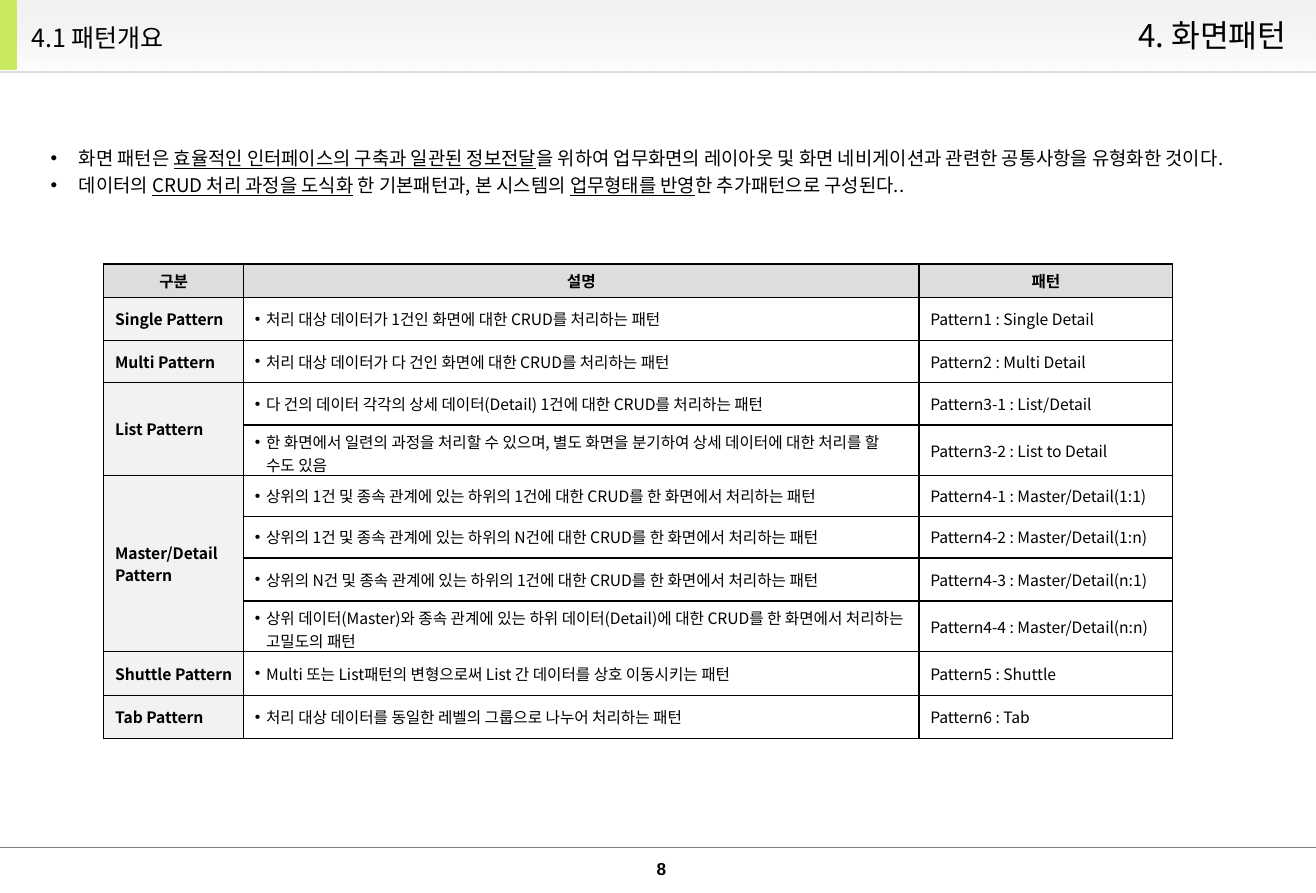
from lxml.etree import SubElement
from pptx import Presentation
from pptx.dml.color import RGBColor
from pptx.enum.shapes import MSO_CONNECTOR, MSO_SHAPE
from pptx.enum.text import MSO_ANCHOR as ANCHOR, PP_ALIGN as ALIGN
from pptx.oxml.ns import qn
from pptx.util import Inches, Pt

BLACK = RGBColor(0x00, 0x00, 0x00)
WHITE = RGBColor(0xFF, 0xFF, 0xFF)
GRAY = RGBColor(0x80, 0x80, 0x80)
SILVER = RGBColor(0xDD, 0xDD, 0xDD)
PALE = RGBColor(0xF2, 0xF2, 0xF2)
MIST = RGBColor(0xEA, 0xEA, 0xEA)
LIME = RGBColor(0xC9, 0xE9, 0x61)
KOREAN = "Noto Sans CJK KR"


def write(tf, *texts, size=10, font=KOREAN, bold=False, align=ALIGN.LEFT,
          indent=0, before=0, spacing=None):
    for i, text in enumerate(texts):
        p = tf.paragraphs[0] if i == 0 else tf.add_paragraph()
        p.alignment = align
        p.space_before = Pt(before)
        if spacing:
            p.line_spacing = spacing
        if indent:
            pPr = p._p.get_or_add_pPr()
            pPr.set("marL", str(Inches(indent)))
            pPr.set("indent", str(-Inches(indent)))
            SubElement(pPr, qn("a:buFont")).set("typeface", "Arial")
            SubElement(pPr, qn("a:buChar")).set("char", "•")
        for j, line in enumerate(text.split("\n")):
            if j:
                p.add_line_break()
            for k, part in enumerate(line.split("_")):
                r = p.add_run()
                r.text = part
                r.font.size = Pt(size)
                r.font.bold = bold
                r.font.underline = k % 2 == 1
                r.font.color.rgb = BLACK
                r.font.name = font
                SubElement(r._r.get_or_add_rPr(), qn("a:ea")).set("typeface", font)


def add_text(box, *texts, inset=(0.11, 0.05), anchor=ANCHOR.MIDDLE, wrap=True, **fmt):
    tf = slide.shapes.add_textbox(*map(Inches, box)).text_frame
    tf.word_wrap = wrap
    tf.vertical_anchor = anchor
    tf.margin_left = tf.margin_right = Inches(inset[0])
    tf.margin_top = tf.margin_bottom = Inches(inset[1])
    write(tf, *texts, **fmt)


prs = Presentation()
prs.slide_width, prs.slide_height = Inches(11.67), Inches(7.92)
slide = prs.slides.add_slide(prs.slide_layouts[6])

add_text((5.77, 7.63, 0.19, 0.17), "8", inset=(0, 0), anchor=ANCHOR.TOP, wrap=False,
         size=11, font="Arial", bold=True, align=ALIGN.CENTER, spacing=0.9)

bars = []
for width, height in [(11.67, 0.66), (0.15, 0.62)]:
    sp = slide.shapes.add_shape(MSO_SHAPE.RECTANGLE, 0, 0, Inches(width), Inches(height))
    sp.shadow.inherit = False
    sp.line.fill.background()
    bars.append(sp)
header, accent = bars
header.fill.gradient()
header.fill.gradient_angle = 270
for stop, color in zip(header.fill.gradient_stops, (MIST, WHITE)):
    stop.color.rgb = color
mist = header._element.spPr.find(".//" + qn("a:srgbClr"))
SubElement(mist, qn("a:alpha")).set("val", "56000")
accent.fill.solid()
accent.fill.fore_color.rgb = LIME

for y, color, weight in [(7.52, GRAY, 0.75), (0.64, SILVER, 1.5)]:
    rule = slide.shapes.add_connector(MSO_CONNECTOR.STRAIGHT, 0, Inches(y),
                                      prs.slide_width, Inches(y))
    rule.line.color.rgb = color
    rule.line.width = Pt(weight)
    SubElement(rule._element.spPr, qn("a:effectLst"))
slide.shapes._spTree.append(accent._element)

add_text((0.17, 0.11, 3.21, 0.45), "4.1 패턴개요", size=16)
add_text((5.84, 0, 5.68, 0.62), "4. 화면패턴", size=20, align=ALIGN.RIGHT)
add_text((0.45, 1.3, 10.63, 0.65),
         "화면 패턴은 _효율적인 인터페이스의 구축과 일관된 정보전달_을 위하여 업무화면의 레이아웃 및 "
         "화면 네비게이션과 관련한 공통사항을 유형화한 것이다.",
         "데이터의 _CRUD 처리 과정을 도식화_ 한 기본패턴과, 본 시스템의 _업무형태를 반영_한 "
         "추가패턴으로 구성된다..",
         inset=(0, 0), anchor=ANCHOR.TOP, size=12, indent=0.25, before=3)

rows = [
    ("구분", "설명", "패턴"),
    ("Single Pattern", "처리 대상 데이터가 1건인 화면에 대한 CRUD를 처리하는 패턴",
     "Pattern1 : Single Detail"),
    ("Multi Pattern", "처리 대상 데이터가 다 건인 화면에 대한 CRUD를 처리하는 패턴",
     "Pattern2 : Multi Detail"),
    ("List Pattern", "다 건의 데이터 각각의 상세 데이터(Detail) 1건에 대한 CRUD를 처리하는 패턴",
     "Pattern3-1 : List/Detail"),
    ("", "한 화면에서 일련의 과정을 처리할 수 있으며, 별도 화면을 분기하여 상세 데이터에 대한 처리를 할 수도 있음",
     "Pattern3-2 : List to Detail"),
    ("Master/Detail\nPattern",
     "상위의 1건 및 종속 관계에 있는 하위의 1건에 대한 CRUD를 한 화면에서 처리하는 패턴",
     "Pattern4-1 : Master/Detail(1:1)"),
    ("", "상위의 1건 및 종속 관계에 있는 하위의 N건에 대한 CRUD를 한 화면에서 처리하는 패턴",
     "Pattern4-2 : Master/Detail(1:n)"),
    ("", "상위의 N건 및 종속 관계에 있는 하위의 1건에 대한 CRUD를 한 화면에서 처리하는 패턴",
     "Pattern4-3 : Master/Detail(n:1)"),
    ("", "상위 데이터(Master)와 종속 관계에 있는 하위 데이터(Detail)에 대한 CRUD를 한 화면에서 처리하는 고밀도의 패턴",
     "Pattern4-4 : Master/Detail(n:n)"),
    ("Shuttle Pattern", "Multi 또는 List패턴의 변형으로써 List 간 데이터를 상호 이동시키는 패턴",
     "Pattern5 : Shuttle"),
    ("Tab Pattern", "처리 대상 데이터를 동일한 레벨의 그룹으로 나누어 처리하는 패턴",
     "Pattern6 : Tab"),
]
widths = [1.24, 5.99, 2.25]
heights = [0.3, 0.38, 0.37, 0.38, 0.45, 0.36, 0.37, 0.38, 0.45, 0.39, 0.38]
table = slide.shapes.add_table(len(rows), len(widths), Inches(0.92), Inches(2.34),
                               Inches(sum(widths)), Inches(sum(heights))).table
table.first_row = table.horz_banding = False
for column, width in zip(table.columns, widths):
    column.width = Inches(width)
for row, height in zip(table.rows, heights):
    row.height = Inches(height)

for i, texts in enumerate(rows):
    for j, text in enumerate(texts):
        cell = table.cell(i, j)
        cell.vertical_anchor = ANCHOR.MIDDLE
        cell.margin_left = cell.margin_right = Inches(0.1)
        cell.margin_top = cell.margin_bottom = Inches(0.05)
        tcPr = cell._tc.get_or_add_tcPr()
        for side in ("lnL", "lnR", "lnT", "lnB"):
            ln = SubElement(tcPr, qn("a:" + side), w=str(Pt(1)))
            SubElement(SubElement(ln, qn("a:solidFill")), qn("a:srgbClr")).set("val", str(BLACK))
        if i == 0 or j == 0:
            cell.fill.solid()
            cell.fill.fore_color.rgb = SILVER if i == 0 else PALE
        else:
            cell.fill.background()
        if text:
            write(cell.text_frame, text, bold=i == 0 or j == 0,
                  align=ALIGN.CENTER if i == 0 else ALIGN.LEFT,
                  indent=0.1 if i and j == 1 else 0)

for first, last in [(3, 4), (5, 8)]:
    table.cell(first, 0).merge(table.cell(last, 0))

prs.save("out.pptx")
